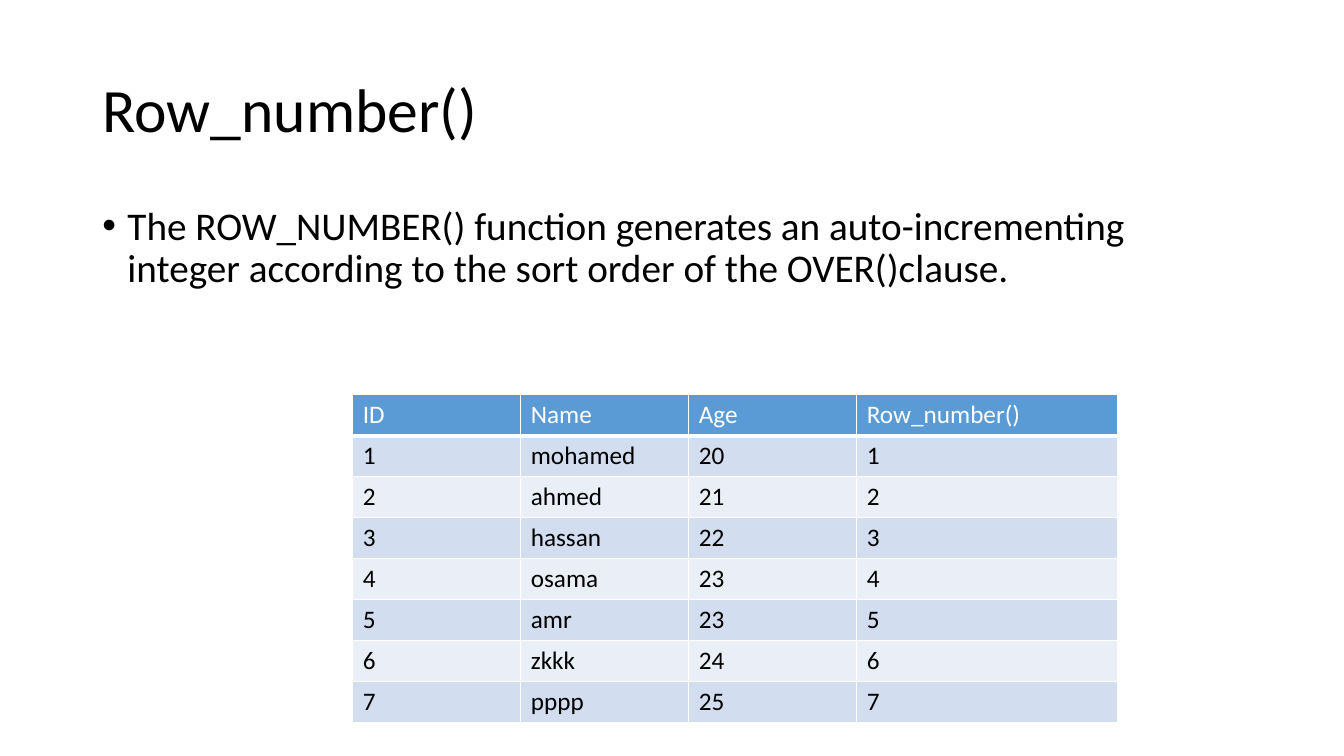
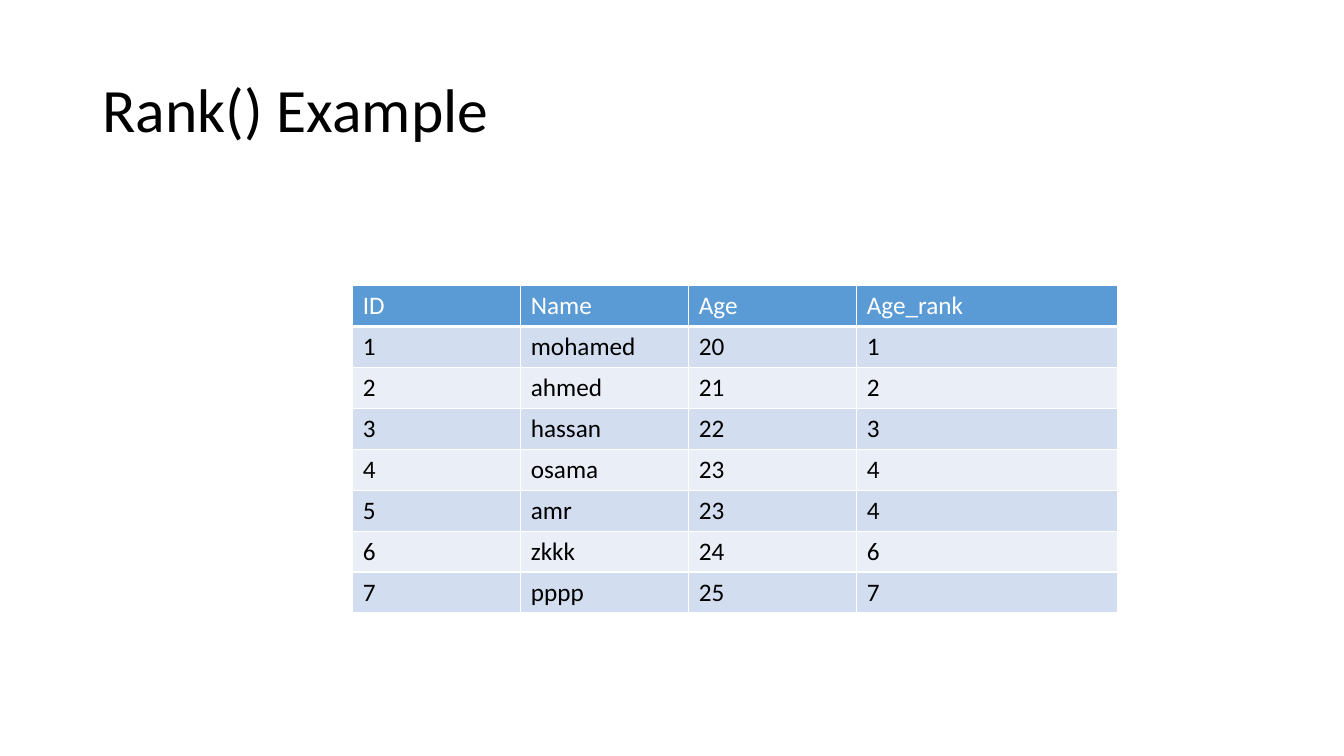
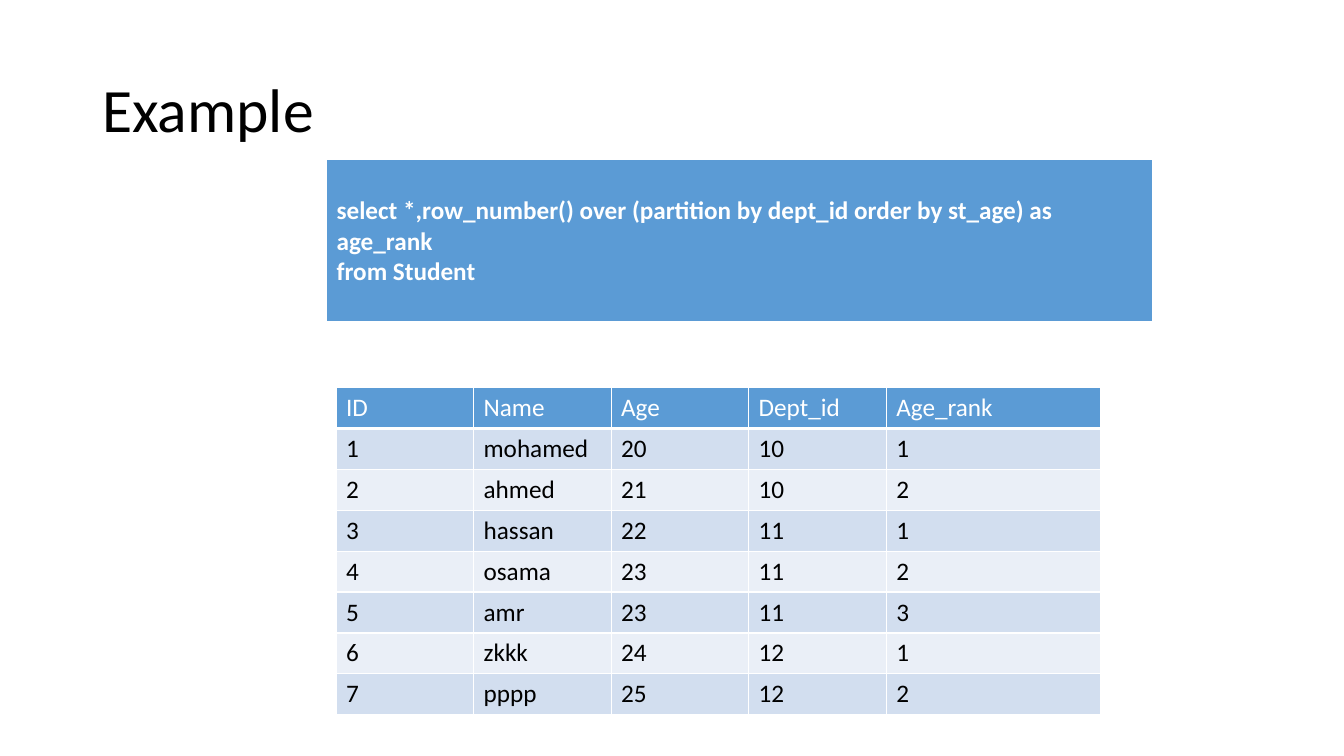
from dataclasses import dataclass

from lxml import etree
from pptx import Presentation
from pptx.dml.color import RGBColor
from pptx.enum.text import MSO_ANCHOR
from pptx.oxml.ns import qn
from pptx.slide import Slide
from pptx.table import Table, _Cell
from pptx.text.text import TextFrame, _Paragraph
from pptx.util import Emu, Pt

EMU_PER_PX = 9525
FONT = "Calibri"
COLORS = {
    "text": "000000",
    "white": "FFFFFF",
    "header": "5B9BD5",
    "odd_row": "D2DEEF",
    "even_row": "EAEFF7",
}
ANCHOR_MIDDLE = MSO_ANCHOR.MIDDLE
BLANK_LAYOUT = 6

ROW_HEIGHT = 39
TEXT_LEFT, TEXT_WIDTH = 88, 1104
NAME_COLUMN_WIDTHS = (160, 160, 160, 248)
DEPARTMENT_COLUMN_WIDTHS = (131, 131, 131, 131, 204)

NAMES = ("mohamed", "ahmed", "hassan", "osama", "amr", "zkkk", "pppp")
AGES = (20, 21, 22, 23, 23, 24, 25)
DEPARTMENTS = (10, 10, 11, 11, 11, 12, 12)


@dataclass(frozen=True)
class StudentTable:
    left: int
    top: int
    column_widths: tuple[int, ...]
    extra_columns: dict[str, tuple[int, ...]]

    def rows(self) -> list[tuple]:
        columns = {
            "ID": range(1, len(NAMES) + 1),
            "Name": NAMES,
            "Age": AGES,
            **self.extra_columns,
        }
        return [tuple(columns), *zip(*columns.values())]


@dataclass(frozen=True)
class Query:
    left: int
    top: int
    width: int
    height: int
    lines: tuple[str, ...]


@dataclass(frozen=True)
class Page:
    title: str
    table: StudentTable
    bullet: str = ""
    query: Query | None = None


PAGES = (
    Page(
        "Row_number()",
        StudentTable(336, 376, NAME_COLUMN_WIDTHS, {"Row_number()": (1, 2, 3, 4, 5, 6, 7)}),
        bullet="The ROW_NUMBER() function generates an auto-incrementing integer "
        "according to the sort order of the OVER()clause.",
    ),
    Page(
        "Rank() Example",
        StudentTable(336, 272, NAME_COLUMN_WIDTHS, {"Age_rank": (1, 2, 3, 4, 4, 6, 7)}),
    ),
    Page(
        "Example",
        StudentTable(
            320,
            369,
            DEPARTMENT_COLUMN_WIDTHS,
            {"Dept_id": DEPARTMENTS, "Age_rank": (1, 2, 1, 2, 3, 1, 2)},
        ),
        query=Query(
            311,
            152,
            787,
            155,
            (
                "select *,row_number() over (partition by dept_id order by st_age) as age_rank",
                "from Student",
            ),
        ),
    ),
)


def px(length: int) -> Emu:
    return Emu(length * EMU_PER_PX)


def set_font(paragraph: _Paragraph, size: int, color: str, bold: bool = False) -> None:
    font = paragraph.font
    font.name = FONT
    font.size = Pt(size)
    font.bold = bold
    font.color.rgb = RGBColor.from_string(COLORS[color])


def add_text(slide: Slide, top: int, height: int, text: str, size: int) -> TextFrame:
    box = slide.shapes.add_textbox(px(TEXT_LEFT), px(top), px(TEXT_WIDTH), px(height))
    frame = box.text_frame
    frame.word_wrap = True
    paragraph = frame.paragraphs[0]
    paragraph.text = text
    paragraph.line_spacing = 0.9
    set_font(paragraph, size, "text")
    return frame


def add_title(slide: Slide, text: str) -> None:
    add_text(slide, 38, 139, text, 44).vertical_anchor = ANCHOR_MIDDLE


def add_bullet(slide: Slide, text: str) -> None:
    paragraph = add_text(slide, 192, 457, text, 28).paragraphs[0]
    paragraph.space_before = Pt(10)
    properties = paragraph._p.get_or_add_pPr()
    properties.set("marL", str(px(24)))
    properties.set("indent", str(-px(24)))
    bullet_font = etree.Element(qn("a:buFont"), typeface="Arial")
    bullet = etree.Element(qn("a:buChar"), char="•")
    spacing = properties.find(qn("a:spcBef"))
    spacing.addnext(bullet_font)
    bullet_font.addnext(bullet)


def set_borders(cell: _Cell, bottom_width: int) -> None:
    """Draw white lines of 1 pt on all sides but the bottom, which has its own width."""
    properties = cell._tc.get_or_add_tcPr()
    for side, width in (("L", 1), ("R", 1), ("T", 1), ("B", bottom_width)):
        line = etree.SubElement(properties, qn(f"a:ln{side}"), w=str(Pt(width)))
        fill = etree.SubElement(line, qn("a:solidFill"))
        etree.SubElement(fill, qn("a:srgbClr"), val=COLORS["white"])


def fill_cell(cell: _Cell, lines: tuple[str, ...], fill: str, bold: bool = False) -> None:
    is_header = fill == "header"
    set_borders(cell, 3 if is_header else 1)
    cell.fill.solid()
    cell.fill.fore_color.rgb = RGBColor.from_string(COLORS[fill])
    cell.text = "\n".join(lines)
    for paragraph in cell.text_frame.paragraphs:
        set_font(paragraph, 18, "white" if is_header else "text", bold)


def add_grid(
    slide: Slide, left: int, top: int, column_widths: tuple[int, ...], row_count: int, row_height: int
) -> Table:
    table = slide.shapes.add_table(
        row_count,
        len(column_widths),
        px(left),
        px(top),
        px(sum(column_widths)),
        px(row_count * row_height),
    ).table
    for column, width in zip(table.columns, column_widths):
        column.width = px(width)
    return table


def add_student_table(slide: Slide, students: StudentTable) -> None:
    rows = students.rows()
    table = add_grid(
        slide, students.left, students.top, students.column_widths, len(rows), ROW_HEIGHT
    )
    for row_index, values in enumerate(rows):
        band = "odd_row" if row_index % 2 else "even_row"
        fill = band if row_index else "header"
        for column_index, value in enumerate(values):
            fill_cell(table.cell(row_index, column_index), (str(value),), fill)


def add_query(slide: Slide, query: Query) -> None:
    table = add_grid(slide, query.left, query.top, (query.width,), 1, query.height)
    cell = table.cell(0, 0)
    fill_cell(cell, query.lines, "header", bold=True)
    cell.margin_top = px(34)


def main() -> None:
    presentation = Presentation()
    presentation.slide_width = px(1280)
    presentation.slide_height = px(720)
    for page in PAGES:
        slide = presentation.slides.add_slide(presentation.slide_layouts[BLANK_LAYOUT])
        add_title(slide, page.title)
        if page.bullet:
            add_bullet(slide, page.bullet)
        if page.query:
            add_query(slide, page.query)
        add_student_table(slide, page.table)
    presentation.save("out.pptx")


if __name__ == "__main__":
    main()
